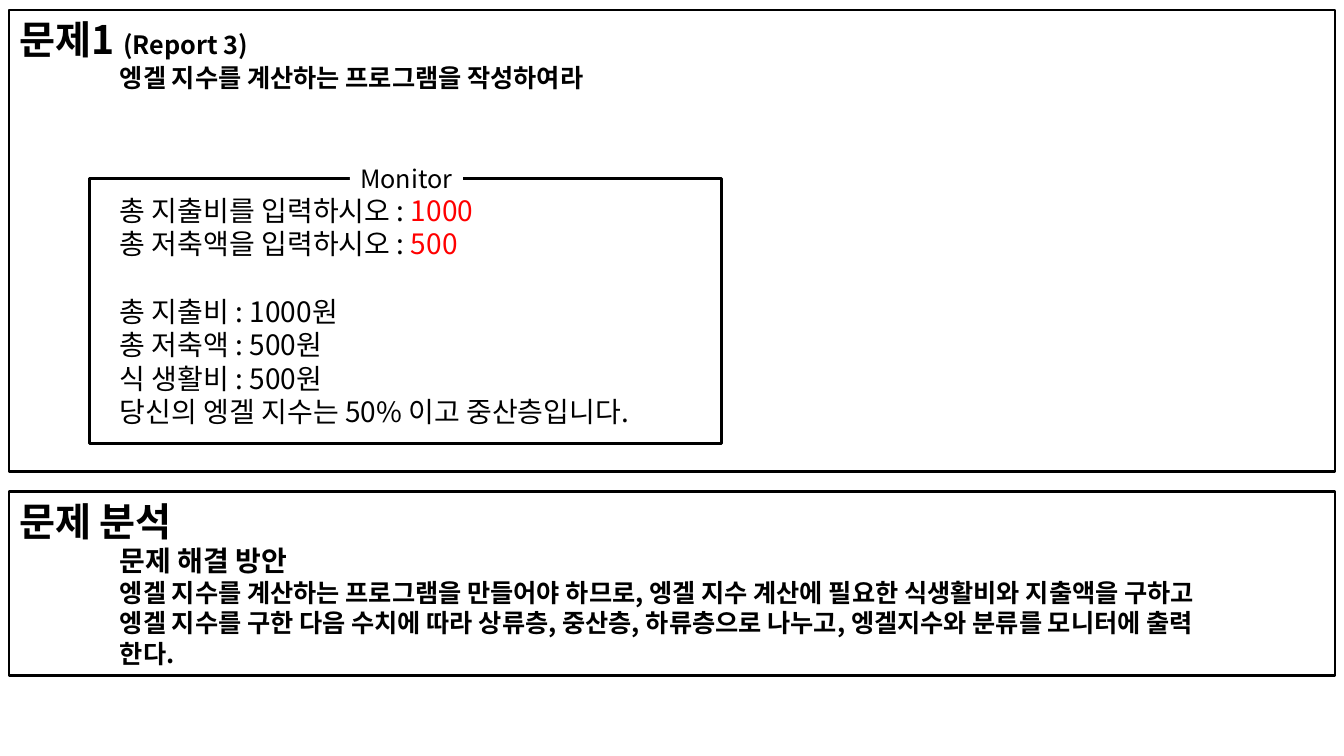
from pptx import Presentation
from pptx.dml.color import RGBColor
from pptx.enum.shapes import MSO_SHAPE as Shape
from pptx.enum.text import MSO_ANCHOR as Anchor, PP_ALIGN as Align
from pptx.oxml.ns import qn
from pptx.util import Inches, Pt
from lxml.etree import SubElement

FONT = "Noto Sans CJK KR"
COLORS = {"ink": "000000", "input": "FF0000", "paper": "FFFFFF"}
INDENT = 1.0
LINE = 24  # height of one 20 pt line

presentation = Presentation()
presentation.slide_width, presentation.slide_height = Inches(13.33), Inches(7.5)
slide = presentation.slides.add_slide(presentation.slide_layouts[6])


def add_box(left, top, width, height, framed=True):
    shape = slide.shapes.add_shape(
        Shape.RECTANGLE, Inches(left), Inches(top), Inches(width), Inches(height))
    shape.shadow.inherit = False
    if framed:
        shape.fill.background()
        shape.line.color.rgb = RGBColor.from_string(COLORS["ink"])
        shape.line.width = Pt(2)
    else:
        shape.fill.solid()
        shape.fill.fore_color.rgb = RGBColor.from_string(COLORS["paper"])
        shape.line.fill.background()
    shape.text_frame.vertical_anchor = Anchor.TOP
    return shape


def write(shape, text, size=18, bold=True, indent=INDENT, before=0,
          align=Align.LEFT, tail="", tail_size=None, tail_color="ink"):
    """Add one paragraph, with an optional tail in another size or colour."""
    frame = shape.text_frame
    paragraph = frame.paragraphs[0] if not frame.text else frame.add_paragraph()
    paragraph.alignment = align
    paragraph.space_before = Pt(before)
    paragraph._p.get_or_add_pPr().set("marL", str(Inches(indent)))
    for words, points, color in ((text, size, "ink"), (tail, tail_size or size, tail_color)):
        if words:
            run = paragraph.add_run()
            run.text = words
            run.font.size, run.font.bold, run.font.name = Pt(points), bold, FONT
            run.font.color.rgb = RGBColor.from_string(COLORS[color])
            SubElement(run._r.get_or_add_rPr(), qn("a:ea"), typeface=FONT)


# Problem statement
problem = add_box(0.09, 0.1, 13.15, 4.58)
write(problem, "문제1 ", size=28, indent=0, tail="(Report 3)", tail_size=18)
write(problem, "엥겔 지수를 계산하는 프로그램을 작성하여라")

# Program output, set below the statement: text, typed value, lines left free above
for text, typed, gap in (
    ("총 지출비를 입력하시오 : ", "1000", 3),
    ("총 저축액을 입력하시오 : ", "500", 0),
    ("총 지출비 : 1000원", "", 1),
    ("총 저축액 : 500원", "", 0),
    ("식 생활비 : 500원", "", 0),
    ("당신의 엥겔 지수는 50% 이고 중산층입니다.", "", 0),
):
    write(problem, text, size=20, bold=False, before=gap * LINE,
          tail=typed, tail_color="input")

# Problem analysis
analysis = add_box(0.09, 4.88, 13.15, 1.82)
write(analysis, "문제 분석", size=28, indent=0)
write(analysis, "문제 해결 방안", size=20)
for text in (
    "엥겔 지수를 계산하는 프로그램을 만들어야 하므로, 엥겔 지수 계산에 필요한 식생활비와 지출액을 구하고",
    "엥겔 지수를 구한 다음 수치에 따라 상류층, 중산층, 하류층으로 나누고, 엥겔지수와 분류를 모니터에 출력",
    "한다.",
):
    write(analysis, text)

# Monitor frame and its label
add_box(0.89, 1.77, 6.27, 2.63)
label = add_box(3.47, 1.57, 1.12, 0.4, framed=False)
label.text_frame.word_wrap = False
write(label, "Monitor", bold=False, indent=0, align=Align.CENTER)

presentation.save("out.pptx")
